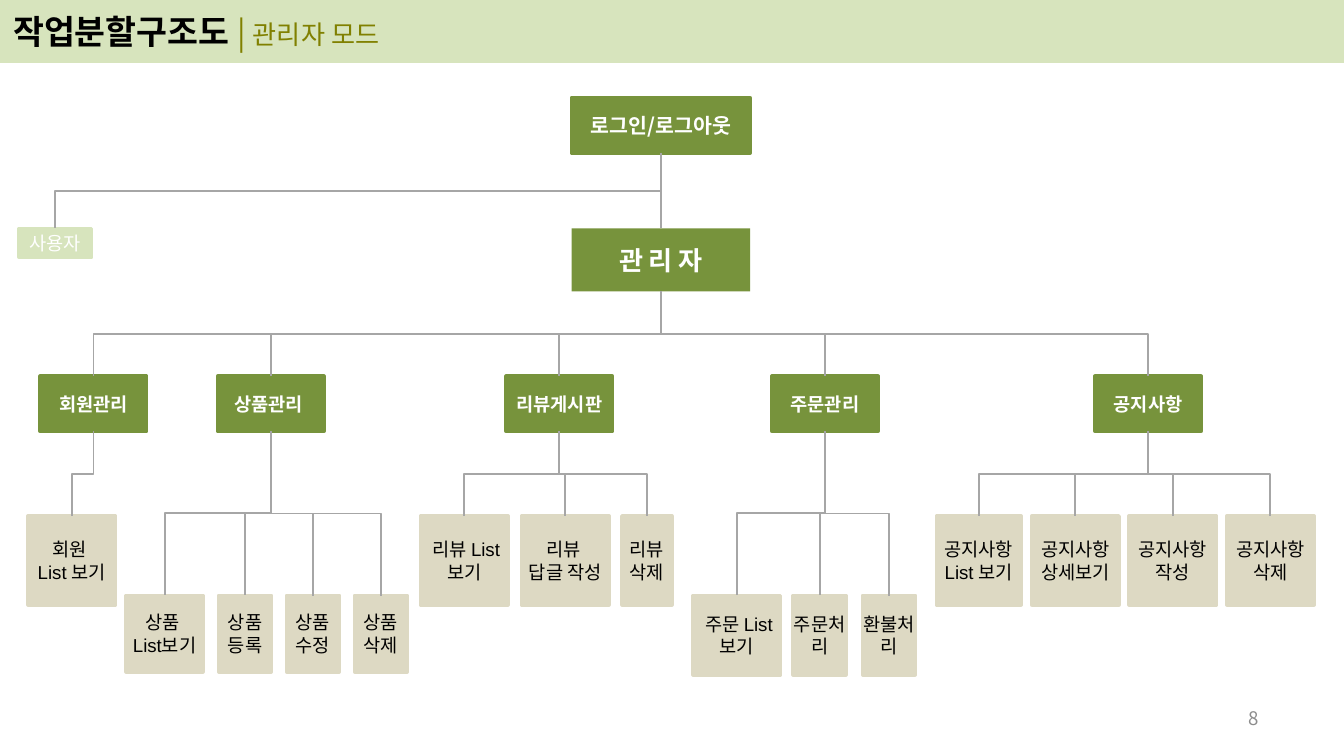
from collections import namedtuple

from lxml.etree import SubElement
from pptx import Presentation
from pptx.dml.color import RGBColor
from pptx.enum.shapes import MSO_CONNECTOR as Connector, MSO_SHAPE as Shape
from pptx.enum.text import MSO_ANCHOR as Anchor, PP_ALIGN as Align
from pptx.oxml.ns import qn
from pptx.util import Pt

PALE_GREEN = RGBColor(0xD7, 0xE4, 0xBD)
GREEN = RGBColor(0x77, 0x93, 0x3C)
OLIVE = RGBColor(0x80, 0x80, 0x00)
BEIGE = RGBColor(0xDD, 0xD9, 0xC3)
LINE_GRAY = RGBColor(0xA6, 0xA6, 0xA6)
NUMBER_GRAY = RGBColor(0x8C, 0x8C, 0x8C)
WHITE = RGBColor(0xFF, 0xFF, 0xFF)
BLACK = RGBColor(0, 0, 0)

KOREAN = "Noto Sans CJK KR"
LATIN = "Arial"

Box = namedtuple("Box", "left top width height")

BRANCH_TOP, BRANCH_WIDTH, BRANCH_HEIGHT = 201.6, 56.9, 29.5

# Branch: title, left, top of tasks, height of tasks, tasks (left, width, lines)
BRANCHES = [
    ("회원관리", 21.6, 276.5, 47.5, [(15.1, 46.8, ["회원 ", "List 보기"])]),
    ("상품관리 ", 116.6, 319, 41, [
        (67.7, 41, ["상품 ", "List보기"]),
        (117.2, 28.1, ["상품", "등록"]),
        (153.6, 28.1, ["상품", "수정"]),
        (190, 28.1, ["상품", "삭제"]),
    ]),
    ("리뷰게시판", 271.2, 276.5, 47.5, [
        (225.3, 46.8, [" 리뷰 List", "보기"]),
        (279.4, 46.8, ["리뷰 ", "답글 작성"]),
        (333.3, 26.6, ["리뷰삭제"]),
    ]),
    ("주문관리", 413.5, 319, 42.5, [
        (371.4, 46.8, [" 주문 List", "보기"]),
        (425, 28.1, ["주문처리"]),
        (462.2, 28.1, ["환불처리"]),
    ]),
    ("공지사항", 586.6, 276.5, 47.5, [
        (501.7, 45.4, ["공지사항 List 보기"]),
        (552.7, 46.8, ["공지사항 상세보기"]),
        (604.9, 46.8, ["공지사항", "작성"]),
        (657.2, 46.8, ["공지사항", "삭제"]),
    ]),
]


def add_run(paragraph, words, size, color, bold=False, face=KOREAN, spacing=0):
    run = paragraph.add_run()
    run.text = words
    font = run.font
    font.size, font.bold, font.name = Pt(size), bold, face
    font.color.rgb = color
    properties = run._r.get_or_add_rPr()
    SubElement(properties, qn("a:ea")).set("typeface", KOREAN)
    if spacing:
        properties.set("spc", str(spacing * 100))


def add_panel(slide, box, fill, outlined=True):
    panel = slide.shapes.add_shape(Shape.RECTANGLE, *map(Pt, box))
    panel.shadow.inherit = False
    panel.fill.solid()
    panel.fill.fore_color.rgb = fill
    if outlined:
        panel.line.color.rgb = fill
        panel.line.width = Pt(2)
    else:
        panel.line.fill.background()
    panel.text_frame.word_wrap = True
    panel.text_frame.vertical_anchor = Anchor.MIDDLE
    return panel


def add_node(slide, box, lines, fill, size=10, color=WHITE, outlined=True, **style):
    """Add a box of the tree with one centred paragraph for each line."""
    frame = add_panel(slide, box, fill, outlined).text_frame
    frame.margin_left = frame.margin_right = 0
    frame.margin_top = frame.margin_bottom = 0
    for index, words in enumerate(lines):
        paragraph = frame.add_paragraph() if index else frame.paragraphs[0]
        paragraph.alignment = Align.CENTER
        add_run(paragraph, words, size, color, **style)


def join(slide, parent, child):
    """Draw an elbow from the bottom of parent to the top of child.

    An elbow runs sideways first, so it is laid out on its side and turned 90 degrees.
    """
    start_x = parent.left + parent.width / 2
    start_y = parent.top + parent.height
    across = child.left + child.width / 2 - start_x
    drop = child.top - start_y
    middle_x, middle_y = start_x + across / 2, start_y + drop / 2
    elbow = slide.shapes.add_connector(
        Connector.ELBOW,
        Pt(middle_x - drop / 2), Pt(middle_y + across / 2),
        Pt(middle_x + drop / 2), Pt(middle_y - across / 2))
    elbow.line.color.rgb = LINE_GRAY
    elbow.line.width = Pt(1)
    properties = elbow._element.spPr
    properties.find(qn("a:xfrm")).set("rot", str(90 * 60000))
    SubElement(properties, qn("a:effectLst"))


def add_header(slide, box):
    title = add_panel(slide, box, PALE_GREEN, outlined=False).text_frame.paragraphs[0]
    title.alignment = Align.LEFT
    add_run(title, "작업분할구조도 ", 18, BLACK, bold=True)
    add_run(title, "| ", 17, OLIVE)
    add_run(title, "관리자 모드", 14, OLIVE)


def add_top_levels(slide, box):
    """Add login, user and manager boxes, and return the manager box."""
    login = Box(box.left + 296, box.top, 95.7, 29.5)
    user = Box(box.left, box.top + 70, 38.8, 15.5)
    manager = Box(box.left + 296, box.top + 70, 95.7, 33.8)
    add_node(slide, login, ["로그인/로그아웃"], GREEN, size=11, bold=True)
    add_node(slide, user, ["사용자"], PALE_GREEN)
    add_node(slide, manager, ["관리자"], GREEN, size=14, outlined=False,
             bold=True, spacing=3)
    join(slide, login, user)
    join(slide, login, manager)
    return manager


def add_branch(slide, box, title, task_top, task_height, tasks):
    add_node(slide, box, [title], GREEN, bold=True)
    for left, width, lines in tasks:
        task = Box(left, task_top, width, task_height)
        add_node(slide, task, lines, BEIGE, color=BLACK, face=LATIN)
        join(slide, box, task)


def add_page_number(slide, box):
    frame = slide.shapes.add_textbox(*map(Pt, box)).text_frame
    frame.word_wrap = True
    frame.vertical_anchor = Anchor.MIDDLE
    frame.paragraphs[0].alignment = Align.RIGHT
    add_run(frame.paragraphs[0], "8", 10, NUMBER_GRAY)


def main():
    deck = Presentation()
    deck.slide_width, deck.slide_height = Pt(720), Pt(405)
    slide = deck.slides.add_slide(deck.slide_layouts[6])
    add_header(slide, Box(0, 0, 720, 33.8))
    manager = add_top_levels(slide, Box(10.2, 52.4, 392, 104))
    for title, left, task_top, task_height, tasks in BRANCHES:
        branch = Box(left, BRANCH_TOP, BRANCH_WIDTH, BRANCH_HEIGHT)
        add_branch(slide, branch, title, task_top, task_height, tasks)
        join(slide, manager, branch)
    add_page_number(slide, Box(513.4, 373.7, 168, 21.6))
    deck.save("out.pptx")


if __name__ == "__main__":
    main()
